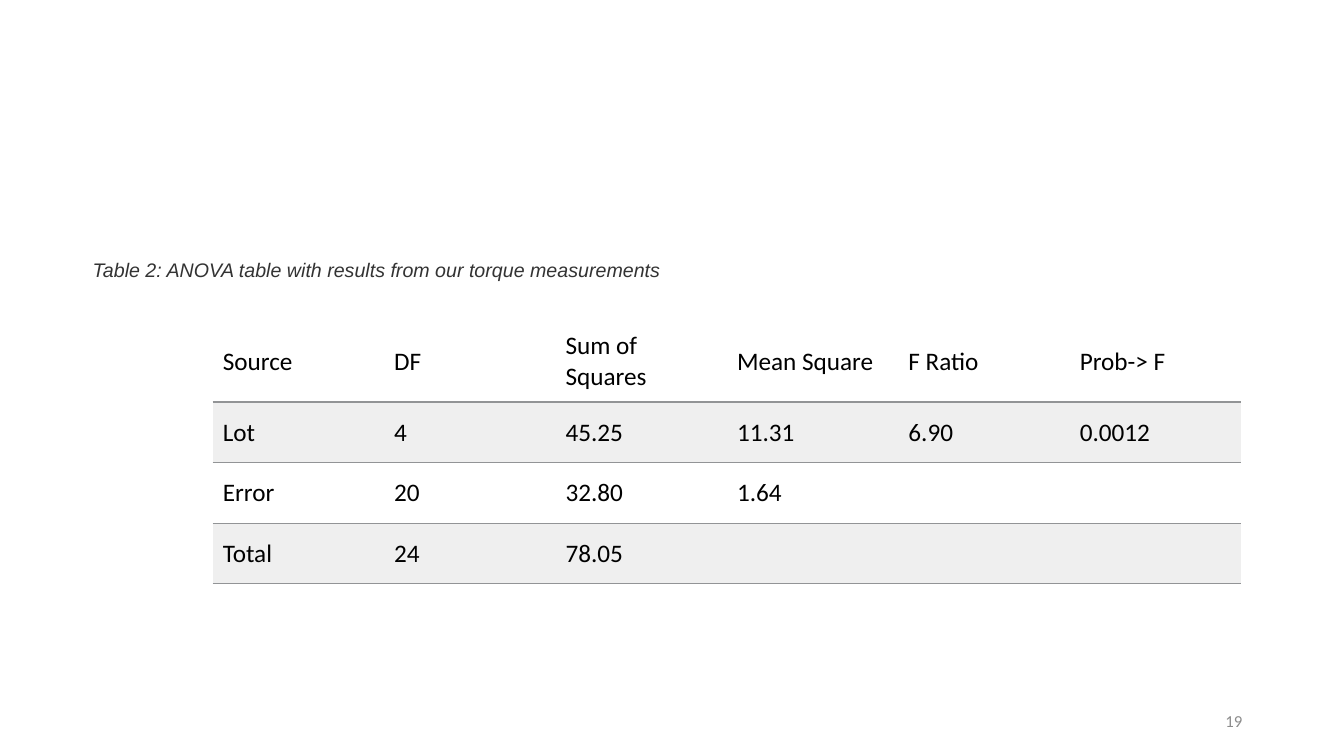
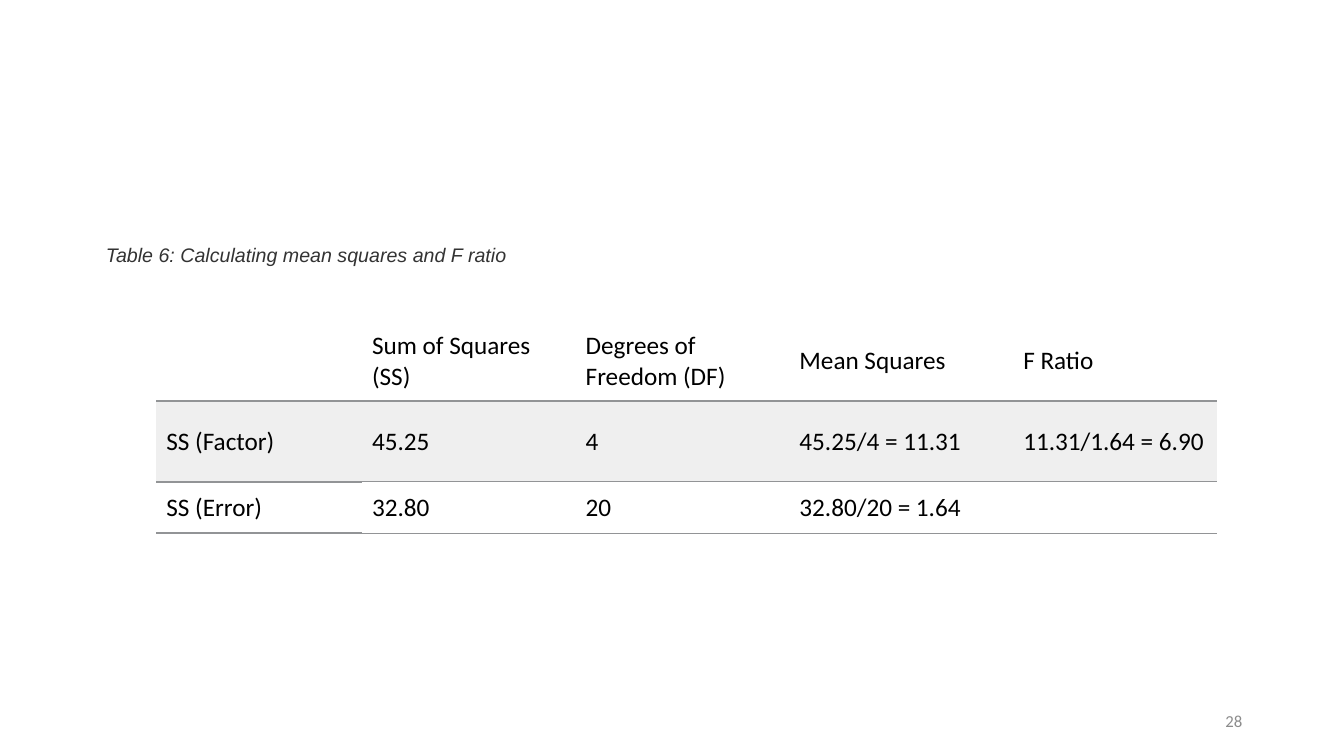
from lxml.etree import SubElement as Sub
from pptx import Presentation as Deck
from pptx.dml.color import RGBColor as RGB
from pptx.enum.text import MSO_ANCHOR as Anchor, PP_ALIGN as Align
from pptx.oxml.ns import qn
from pptx.util import Inches, Pt

HUES = {"ink": "000000", "title": "333333", "page": "8C8C8C",
        "rule": "929496", "band": "EFEFEF"}


class Maker:
    """Holds the deck, its style and the current slide."""

    def __init__(self):
        self.deck = Deck()
        self.deck.slide_width = Inches(13.33)
        self.deck.slide_height = Inches(7.5)

    def start(self):
        self.slide = self.deck.slides.add_slide(self.deck.slide_layouts[6])

    def words(self, para, text, size, hue, face="Calibri", slant=False):
        run = para.add_run()
        run.text = text
        font = run.font
        font.name, font.size, font.italic = face, Pt(size), slant
        font.color.rgb = RGB.from_string(HUES[hue])

    def box(self, left, top, width, height, inset):
        spot = map(Inches, (left, top, width, height))
        frame = self.slide.shapes.add_textbox(*spot).text_frame
        frame.word_wrap = True
        frame.vertical_anchor = Anchor.MIDDLE
        frame.margin_left = frame.margin_right = Inches(inset)
        frame.margin_top = frame.margin_bottom = 0
        return frame.paragraphs[0]

    def title(self, text, left, top):
        para = self.box(left, top, 9, 0.5, 0)
        self.words(para, text, 14, "title", "Arial", True)

    def page(self, number):
        para = self.box(9.42, 6.95, 3, 0.4, 0.1)
        para.alignment = Align.RIGHT
        self.words(para, str(number), 12, "page")

    def edge(self, cell, side, weight):
        line = Sub(cell._tc.get_or_add_tcPr(), qn("a:ln" + side))
        if weight:
            line.set("w", str(Pt(weight)))
            fill = Sub(line, qn("a:solidFill"))
            Sub(fill, qn("a:srgbClr")).set("val", HUES["rule"])
        else:
            line.set("w", "0")
            Sub(line, qn("a:noFill"))

    def cell(self, cell, text, top, base, band):
        cell.vertical_anchor = Anchor.MIDDLE
        cell.margin_left = cell.margin_right = Inches(0.1)
        cell.margin_top = cell.margin_bottom = Inches(0.1)
        for side, weight in zip("LRTB", (0, 0, top, base)):
            self.edge(cell, side, weight)
        if band:
            cell.fill.solid()
            cell.fill.fore_color.rgb = RGB.from_string(HUES["band"])
        else:
            cell.fill.background()
        if text:
            self.words(cell.text_frame.paragraphs[0], text, 18, "ink")

    def table(self, left, top, wide, high, rows, heavy=False):
        spot = map(Inches, (left, top, sum(wide), sum(high)))
        shape = self.slide.shapes.add_table(len(high), len(wide), *spot)
        grid = shape.table
        grid.first_row = grid.horz_banding = False
        for col, width in zip(grid.columns, wide):
            col.width = Inches(width)
        for row, height in zip(grid.rows, high):
            row.height = Inches(height)
        for c in range(len(wide)):
            thin = 1.5 if heavy and c == 0 else 0.75
            rules = [0, 1.5] + [thin] * (len(rows) - 1)
            for r, row in enumerate(rows):
                self.cell(grid.cell(r, c), row[c], rules[r], rules[r + 1],
                          r % 2 == 1)


def main():
    make = Maker()

    make.start()
    make.table(2.11, 3.18, [1.7] * 6, [0.8] + [0.6] * 3, [
        ["Source", "DF", "Sum of Squares", "Mean Square", "F Ratio", "Prob-> F"],
        ["Lot", "4", "45.25", "11.31", "6.90", "0.0012"],
        ["Error", "20", "32.80", "1.64", "", ""],
        ["Total", "24", "78.05", "", "", ""],
    ])
    make.title("Table 2: ANOVA table with results from our torque measurements",
               0.92, 2.43)
    make.page(19)

    make.start()
    make.table(1.55, 3.18, [2.04, 2.12, 2.12, 2.22, 2.02], [0.8, 0.8, 0.51], [
        ["", "Sum of Squares (SS)", "Degrees of Freedom (DF)", "Mean Squares",
         "F Ratio"],
        ["SS (Factor)", "45.25", "4", "45.25/4 = 11.31", "11.31/1.64 = 6.90"],
        ["SS (Error)", "32.80", "20", "32.80/20 = 1.64", ""],
    ], heavy=True)
    make.title("Table 6: Calculating mean squares and F ratio", 1.05, 2.28)
    make.page(28)

    make.deck.save("out.pptx")


if __name__ == "__main__":
    main()
